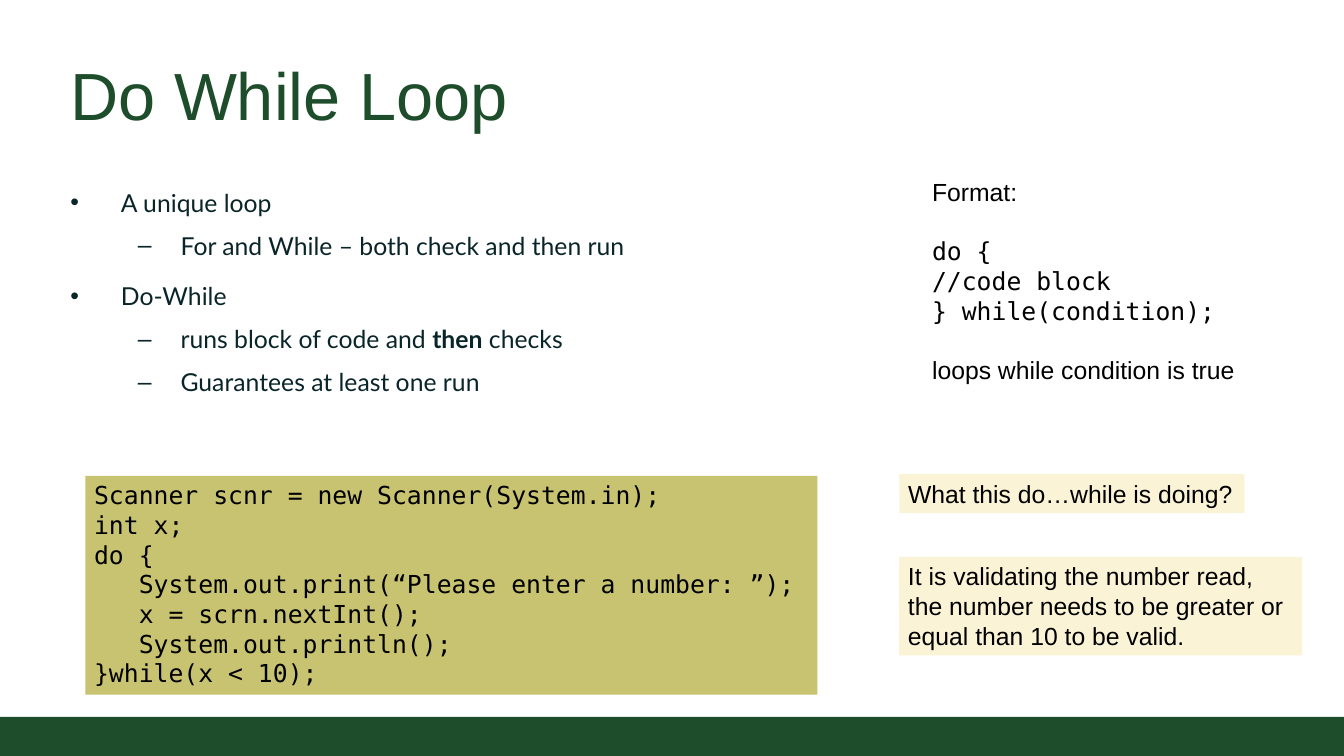
from lxml import etree
from pptx import Presentation
from pptx.dml.color import RGBColor
from pptx.enum.shapes import MSO_SHAPE
from pptx.enum.text import MSO_ANCHOR, MSO_AUTO_SIZE, PP_ALIGN
from pptx.oxml.ns import qn
from pptx.util import Inches, Pt

RECTANGLE = MSO_SHAPE.RECTANGLE
TOP, BOTTOM = MSO_ANCHOR.TOP, MSO_ANCHOR.BOTTOM
LEFT = PP_ALIGN.LEFT
NO_AUTOFIT = MSO_AUTO_SIZE.NONE

GREEN = RGBColor(0x1E, 0x4D, 0x2B)
DARK_TEAL = RGBColor(0x09, 0x25, 0x29)
BLACK = RGBColor(0x00, 0x00, 0x00)
OLIVE = RGBColor(0xC8, 0xC3, 0x71)
CREAM = RGBColor(0xFB, 0xF3, 0xD6)

SANS, MONO, BODY = "Arial", "DejaVu Sans Mono", "Lato"
TEXT_SIZE = 20
LINE_HEIGHT = Pt(24)

# Bullet character, left margin and hanging indent in inches, space before in points
BULLET_LEVELS = [("•", 0.57, -0.57, 6), ("–", 1.24, -0.48, 0)]

# Level, then runs of (text, bold)
POINTS = [
    (0, [("A unique loop", False)]),
    (1, [("For and While – both check and then run", False)]),
    (0, [("Do-While", False)]),
    (1, [("runs block of code and ", False), ("then", True), (" checks", False)]),
    (1, [("Guarantees at least one run", False)]),
]

# Text, font, whether a gap of one line comes before
FORMAT_LINES = [
    ("Format:", SANS, False),
    ("do {", MONO, True),
    ("//code block", MONO, False),
    ("} while(condition);", MONO, False),
    ("loops while condition is true", SANS, True),
]

CODE = """Scanner scnr = new Scanner(System.in);
int x;
do {
   System.out.print(“Please enter a number: ”);
   x = scrn.nextInt();
   System.out.println();
}while(x < 10);"""

QUESTION = "What this do…while is doing?"
ANSWER = """It is validating the number read,
the number needs to be greater or
equal than 10 to be valid."""


def set_font(paragraph, name, size, color):
    paragraph.font.name = name
    paragraph.font.size = Pt(size)
    paragraph.font.color.rgb = color


def place(shape, left, top, width, height):
    shape.left, shape.top = Inches(left), Inches(top)
    shape.width, shape.height = Inches(width), Inches(height)


def set_frame(frame, inset_x, inset_y, anchor):
    frame.auto_size = NO_AUTOFIT
    frame.word_wrap = True
    frame.vertical_anchor = anchor
    frame.margin_left = frame.margin_right = Inches(inset_x)
    frame.margin_top = frame.margin_bottom = Inches(inset_y)


def paragraph_at(frame, index):
    return frame.add_paragraph() if index else frame.paragraphs[0]


def add_panel(slide, left, top, width, height, fill):
    panel = slide.shapes.add_shape(
        RECTANGLE, Inches(left), Inches(top), Inches(width), Inches(height))
    panel.shadow.inherit = False
    panel.fill.solid()
    panel.fill.fore_color.rgb = fill
    panel.line.fill.background()
    return panel


def write_lines(frame, lines):
    set_frame(frame, 0.1, 0.05, TOP)
    for index, (text, font, gap_before) in enumerate(lines):
        paragraph = paragraph_at(frame, index)
        paragraph.text = text
        paragraph.alignment = LEFT
        paragraph.line_spacing = LINE_HEIGHT
        if gap_before:
            paragraph.space_before = LINE_HEIGHT
        set_font(paragraph, font, TEXT_SIZE, BLACK)


def add_note(slide, left, top, width, height, fill, text, font):
    """Add a filled panel with one paragraph for each line of text."""
    panel = add_panel(slide, left, top, width, height, fill)
    write_lines(panel.text_frame, [(line, font, False) for line in text.split("\n")])


def add_title(slide, text):
    title = slide.shapes.title
    place(title, 0.69, 0.49, 13.74, 1.11)
    set_frame(title.text_frame, 0.1, 0.1, BOTTOM)
    heading = title.text_frame.paragraphs[0]
    heading.text = text
    heading.alignment = LEFT
    set_font(heading, SANS, 54, GREEN)


def set_bullet(paragraph, character, margin, indent):
    properties = paragraph._p.get_or_add_pPr()
    properties.set("marL", str(Inches(margin)))
    properties.set("indent", str(Inches(indent)))
    etree.SubElement(properties, qn("a:buFont")).set("typeface", SANS)
    etree.SubElement(properties, qn("a:buChar")).set("char", character)


def add_points(slide):
    body = slide.placeholders[1]
    place(body, 0.69, 1.94, 7.87, 3.41)
    set_frame(body.text_frame, 0.1, 0.1, TOP)
    for index, (level, runs) in enumerate(POINTS):
        point = paragraph_at(body.text_frame, index)
        character, margin, indent, space_before = BULLET_LEVELS[level]
        point.level = level
        set_bullet(point, character, margin, indent)
        point.line_spacing = 1.2
        point.space_before = Pt(space_before if index else 0)
        point.space_after = Pt(6)
        set_font(point, BODY, TEXT_SIZE, DARK_TEAL)
        for text, bold in runs:
            run = point.add_run()
            run.text = text
            if bold:
                run.font.bold = True


def add_format(slide):
    box = slide.shapes.add_textbox(
        Inches(10.38), Inches(1.94), Inches(4.05), Inches(2.46))
    write_lines(box.text_frame, FORMAT_LINES)


def main():
    presentation = Presentation()
    presentation.slide_width = Inches(15.11)
    presentation.slide_height = Inches(8.5)
    slide = presentation.slides.add_slide(presentation.slide_layouts[1])

    add_panel(slide, 0, 8.06, 15.11, 0.44, GREEN)
    add_title(slide, "Do While Loop")
    add_points(slide)
    add_format(slide)
    add_note(slide, 0.96, 5.35, 8.23, 2.46, OLIVE, CODE, MONO)
    add_note(slide, 10.11, 5.33, 3.88, 0.44, CREAM, QUESTION, SANS)
    add_note(slide, 10.11, 6.26, 4.53, 1.11, CREAM, ANSWER, SANS)

    presentation.save("out.pptx")


if __name__ == "__main__":
    main()
